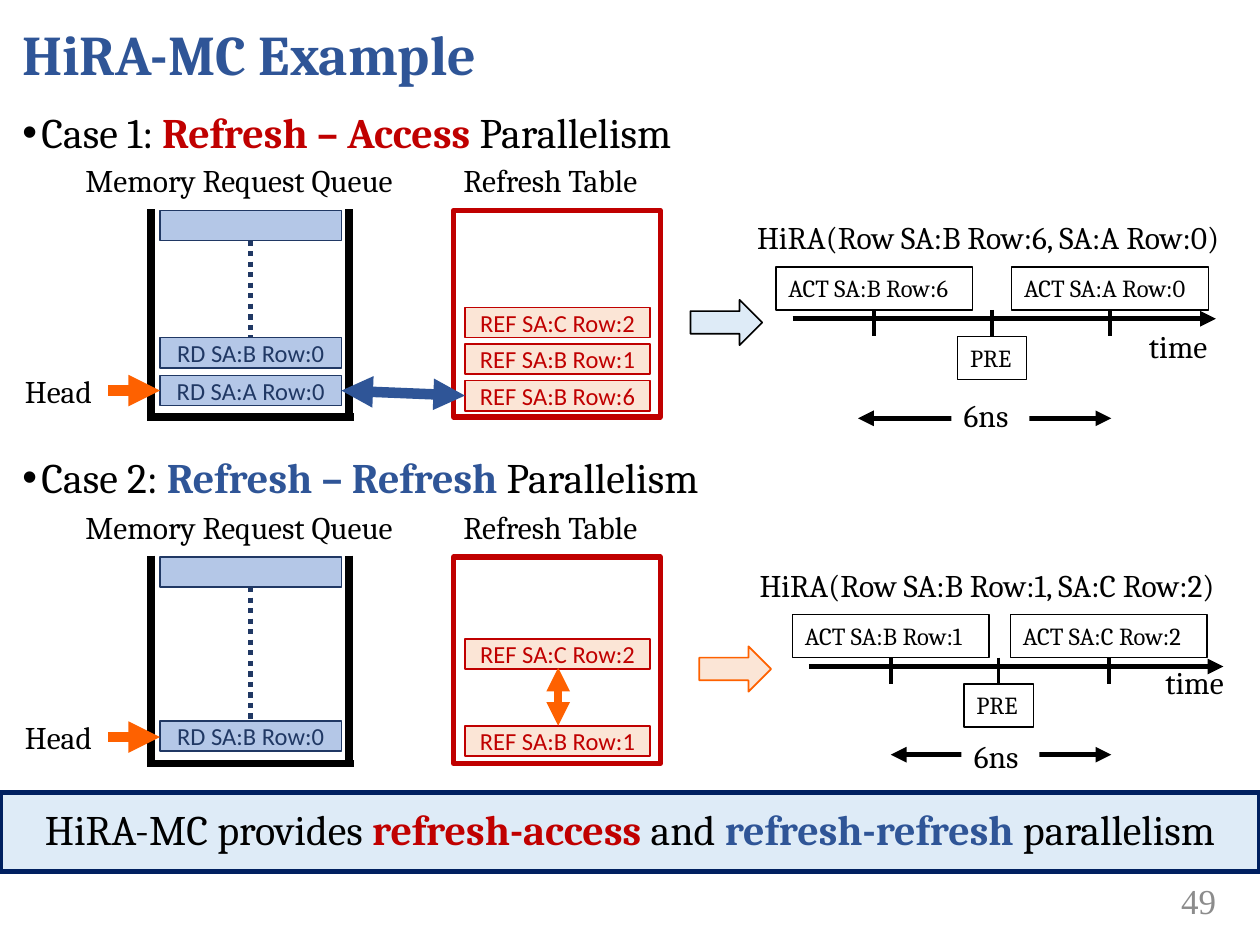
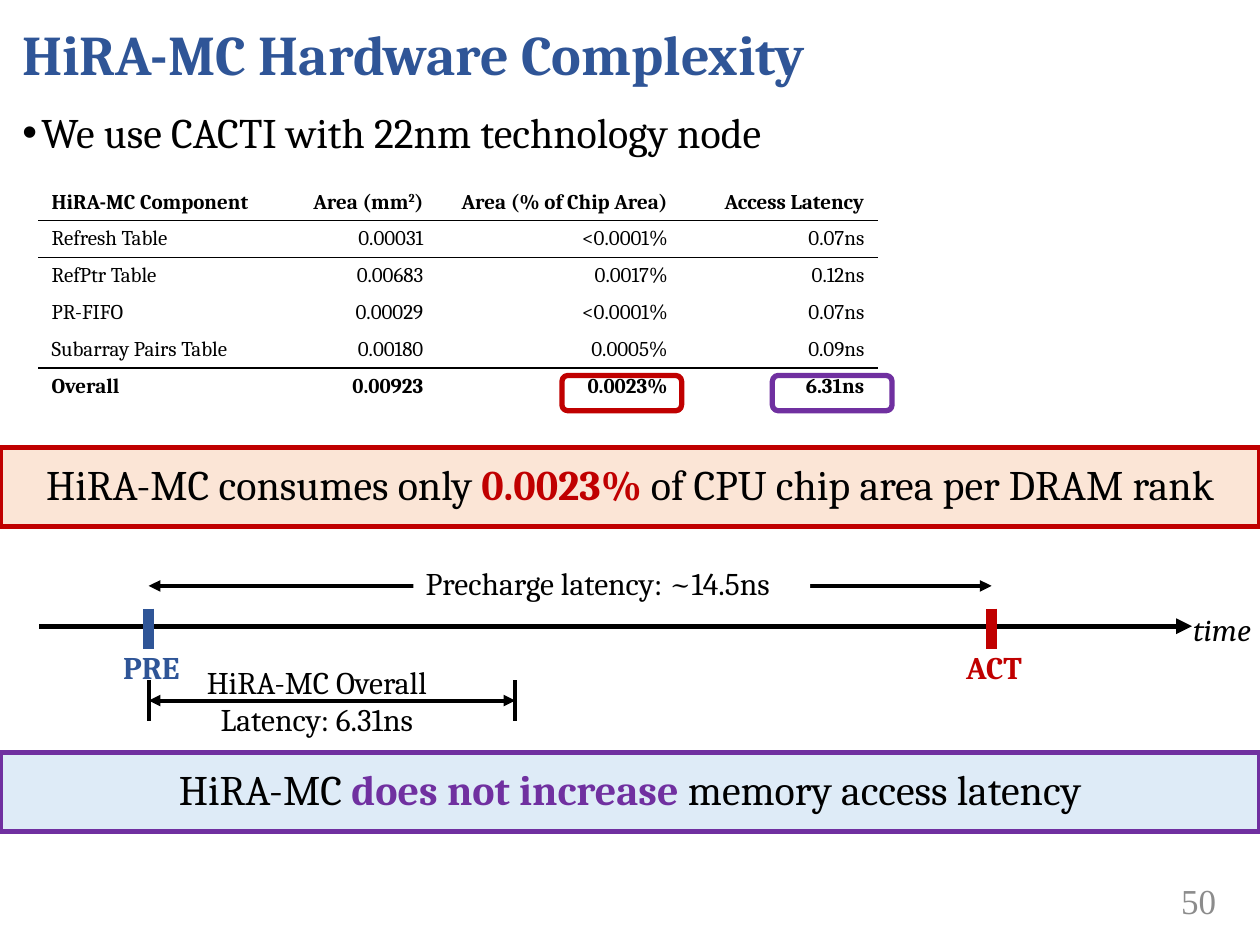
from lxml.etree import SubElement
from pptx import Presentation
from pptx.dml.color import RGBColor
from pptx.enum.dml import MSO_LINE
from pptx.enum.shapes import MSO_CONNECTOR, MSO_SHAPE
from pptx.enum.text import MSO_ANCHOR, MSO_AUTO_SIZE, PP_ALIGN
from pptx.oxml.ns import qn
from pptx.util import Inches, Pt

COLORS = {
    "black": "000000", "white": "FFFFFF", "gray": "8C8C8C", "blue": "2F5597",
    "red": "C00000", "purple": "7030A0", "orange": "FE6100", "navy": "203864",
    "dark_blue": "002060", "queue": "B4C7E7", "peach": "FBE5D6", "pale_blue": "DEEBF7",
}


def strong(color):
    return {"color": color, "bold": True}


# Text is a string, or a list of (text, format overrides) pairs.
CASES = [
    {
        "heading": [("Case 1: ", {}), ("Refresh – Access ", strong("red")), ("Parallelism", {})],
        "heading_top": 0.84,
        "queue_offset": 0,
        "requests": [("RD SA:A Row:0", 2.98), ("RD SA:B Row:0", 2.68)],
        "refreshes": [("REF SA:B Row:6", 3.02), ("REF SA:B Row:1", 2.73), ("REF SA:C Row:2", 2.44)],
        "match": ((2.71, 3.1), (3.69, 3.14), "blue", 6),
        "result_arrow": (5.48, 2.38, "pale_blue", "black"),
        "operation": ("HiRA(Row SA:B Row:6, SA:A Row:0)", 5.91),
        "timeline_offset": 0,
        "axis": (6.29, 9.65),
        "time_label": (9.02, 2.55),
        "activations": [("ACT SA:B Row:6", 6.16), ("ACT SA:A Row:0", 8.03)],
        "precharge_left": 7.6,
        "span": (6.81, 8.82, 3.32),
        "span_label": (7.55, 3.09),
    },
    {
        "heading": [("Case 2: ", {}), ("Refresh – Refresh ", strong("blue")), ("Parallelism", {})],
        "heading_top": 3.58,
        "queue_offset": 2.75,
        "requests": [("RD SA:B Row:0", 5.72)],
        "refreshes": [("REF SA:B Row:1", 5.76), ("REF SA:C Row:2", 5.07)],
        "match": ((4.43, 5.76), (4.43, 5.3), "orange", 4.5),
        "result_arrow": (5.55, 5.13, "peach", "orange"),
        "operation": ("HiRA(Row SA:B Row:1, SA:C Row:2)", 5.93),
        "timeline_offset": 2.76,
        "axis": (6.42, 9.71),
        "time_label": (9.15, 5.21),
        "activations": [("ACT SA:B Row:1", 6.29), ("ACT SA:C Row:2", 8.02)],
        "precharge_left": 7.65,
        "span": (7.07, 8.82, 5.99),
        "span_label": (7.63, 5.8),
    },
]

PARALLELISM_SUMMARY = [
    ("HiRA-MC provides ", {}), ("refresh-access ", strong("red")), ("and ", {}),
    ("refresh-refresh ", strong("blue")), ("parallelism", {}),
]
AREA_SUMMARY = [
    ("HiRA-MC consumes only ", {}), ("0.0023%", strong("red")),
    (" of CPU chip area per DRAM rank", {}),
]
LATENCY_SUMMARY = [
    ("HiRA-MC ", {}), ("does not increase ", strong("purple")), ("memory access latency", {}),
]

COMPONENT_ROWS = [
    ("HiRA-MC Component", [("Area (mm", {}), ("2", {"superscript": True}), (")", {})],
     "Area (% of Chip Area)", "Access Latency"),
    ("Refresh Table", "0.00031", "<0.0001%", "0.07ns"),
    ("RefPtr Table", "0.00683", "0.0017%", "0.12ns"),
    ("PR-FIFO", "0.00029", "<0.0001%", "0.07ns"),
    ("Subarray Pairs Table", "0.00180", "0.0005%", "0.09ns"),
    ("Overall", "0.00923", "0.0023%", "6.31ns"),
]
COLUMN_WIDTHS = [1.8, 1.35, 1.94, 1.56]
ROW_HEIGHT = 0.29
RULED_ROWS = {0, 1, 4}  # rows with a rule below them
BOLD_ROWS = {0, 5}


def rgb(name):
    return RGBColor.from_string(COLORS[name])


def write_text(frame, text, size=18, font="Cambria", color="black", bold=False, italic=False,
               align=PP_ALIGN.LEFT, line_spacing=None, bullet=False):
    paragraph = frame.paragraphs[0]
    paragraph.alignment = align
    if line_spacing:
        paragraph.line_spacing = line_spacing
    if bullet:
        properties = paragraph._p.get_or_add_pPr()
        properties.set("marL", str(Inches(0.15)))
        properties.set("indent", str(-Inches(0.15)))
        SubElement(properties, qn("a:buFont"), typeface="Arial")
        SubElement(properties, qn("a:buChar"), char="•")
    for part, changes in [(text, {})] if isinstance(text, str) else text:
        for index, line in enumerate(part.split("\n")):
            if index:
                paragraph.add_line_break()
            run = paragraph.add_run()
            run.text = line
            run.font.name = font
            run.font.size = Pt(size)
            run.font.bold = changes.get("bold", bold)
            run.font.italic = italic
            run.font.color.rgb = rgb(changes.get("color", color))
            if changes.get("superscript"):
                run.font._element.set("baseline", "30000")


def set_frame(frame, wrap, grow, anchor):
    frame.word_wrap = wrap
    frame.auto_size = MSO_AUTO_SIZE.SHAPE_TO_FIT_TEXT if grow else MSO_AUTO_SIZE.NONE
    frame.vertical_anchor = anchor


def add_label(slide, text, left, top, width, height=0.4, wrap=False, grow=True,
              anchor=MSO_ANCHOR.TOP, **text_format):
    box = slide.shapes.add_textbox(Inches(left), Inches(top), Inches(width), Inches(height))
    set_frame(box.text_frame, wrap, grow, anchor)
    write_text(box.text_frame, text, **text_format)
    return box


def add_box(slide, left, top, width, height, fill=None, line=None, line_width=1, text=None,
            kind=MSO_SHAPE.RECTANGLE, wrap=True, grow=False, anchor=MSO_ANCHOR.MIDDLE,
            **text_format):
    shape = slide.shapes.add_shape(kind, Inches(left), Inches(top), Inches(width), Inches(height))
    shape.shadow.inherit = False
    if fill:
        shape.fill.solid()
        shape.fill.fore_color.rgb = rgb(fill)
    else:
        shape.fill.background()
    if line:
        shape.line.color.rgb = rgb(line)
        shape.line.width = Pt(line_width)
    else:
        shape.line.fill.background()
    if text:
        set_frame(shape.text_frame, wrap, grow, anchor)
        write_text(shape.text_frame, text, **text_format)


def add_line(slide, start, end, color="black", width=2.25, head=False, tail=False, dash=None):
    connector = slide.shapes.add_connector(
        MSO_CONNECTOR.STRAIGHT, *(Inches(value) for value in (*start, *end)))
    connector.line.color.rgb = rgb(color)
    connector.line.width = Pt(width)
    if dash:
        connector.line.dash_style = dash
    outline = connector.line._get_or_add_ln()
    for tag, wanted in (("a:headEnd", head), ("a:tailEnd", tail)):
        if wanted:
            SubElement(outline, qn(tag), type="triangle")
    SubElement(connector._element.spPr, qn("a:effectLst"))


def add_bullet(slide, text, top):
    add_label(slide, text, 0.08, top, 9.83, 0.5, wrap=True, grow=False, size=24,
              line_spacing=0.9, bullet=True)


def add_band(slide, text, top, fill, line):
    """Full-width summary band."""
    add_box(slide, 0, top, 10, 0.63, fill, line, 3, text, size=24,
            align=PP_ALIGN.CENTER, line_spacing=0.9)


def start_slide(presentation, title, number):
    slide = presentation.slides.add_slide(presentation.slide_layouts[6])
    add_label(slide, str(number), 8.67, 6.95, 1.08, wrap=True, grow=False,
              anchor=MSO_ANCHOR.MIDDLE, size=20, font="Times New Roman", color="gray",
              align=PP_ALIGN.RIGHT)
    add_label(slide, title, 0.08, 0, 9.83, 0.84, wrap=True, grow=False,
              anchor=MSO_ANCHOR.MIDDLE, size=32, color="blue", bold=True)
    return slide


def add_entry(slide, text, left, top, width, fill, color):
    """One row inside the request queue or the refresh table."""
    add_box(slide, left, top, width, 0.24, fill, color, 1, text, size=14, font="Calibri",
            color=color, align=PP_ALIGN.CENTER)


def add_queue(slide, case):
    offset = case["queue_offset"]
    top, bottom = 1.66 + offset, 3.31 + offset
    for text, entry_top in case["requests"] + [("", top + 0.01)]:
        add_entry(slide, text, 1.27, entry_top, 1.44, "queue", "navy")
    for start, end in (((1.2, top), (1.2, bottom)), ((1.17, bottom), (2.81, bottom)),
                       ((2.77, top), (2.77, bottom))):
        add_line(slide, start, end, width=4.5)
    last_request_top = case["requests"][-1][1]
    add_line(slide, (1.99, top + 0.25), (1.99, last_request_top), "navy", 3,
             dash=MSO_LINE.ROUND_DOT)
    add_label(slide, "Head", 0.1, 2.9 + offset, 0.76, wrap=True)
    add_line(slide, (0.86, 3.1 + offset), (1.27, 3.1 + offset), "orange", 6, tail=True)
    add_label(slide, "Memory Request Queue", 0.58, 1.23 + offset, 2.78)


def add_refresh_table(slide, case):
    offset = case["queue_offset"]
    add_box(slide, 3.6, 1.67 + offset, 1.64, 1.64, line="red", line_width=3)
    for text, top in case["refreshes"]:
        add_entry(slide, text, 3.69, top, 1.47, "peach", "red")
    add_label(slide, "Refresh Table", 3.58, 1.23 + offset, 1.66)
    start, end, color, width = case["match"]
    add_line(slide, start, end, color, width, head=True, tail=True)


def add_command(slide, text, left, top, width):
    add_box(slide, left, top, width, 0.34, line="black", line_width=0.75, text=text, size=14,
            wrap=False, grow=True, anchor=MSO_ANCHOR.TOP)


def add_command_timeline(slide, case):
    offset = case["timeline_offset"]
    left, top, fill, line = case["result_arrow"]
    add_box(slide, left, top, 0.57, 0.36, fill, line, kind=MSO_SHAPE.RIGHT_ARROW)
    operation, left = case["operation"]
    add_label(slide, operation, left, 1.68 + offset, 4.09)
    axis_start, axis_end = case["axis"]
    add_line(slide, (axis_start, 2.53 + offset), (axis_end, 2.53 + offset), width=3, tail=True)
    add_label(slide, "time", *case["time_label"], 0.69)
    commands = [(text, left, 2.12, 1.56) for text, left in case["activations"]]
    commands.append(("PRE", case["precharge_left"], 2.67, 0.55))
    for text, left, top, width in commands:
        add_command(slide, text, left, top + offset, width)
        tick = left + width / 2
        add_line(slide, (tick, 2.46 + offset), (tick, 2.67 + offset))
    span_start, span_end, span_top = case["span"]
    add_line(slide, (span_start, span_top), (span_end, span_top), width=3, head=True, tail=True)
    add_box(slide, *case["span_label"], 0.62, 0.4, "white", text="6ns", grow=True,
            anchor=MSO_ANCHOR.TOP)


def add_cell_rule(cell, tag):
    rule = SubElement(cell._tc.get_or_add_tcPr(), qn(tag), w=str(Pt(1)))
    SubElement(SubElement(rule, qn("a:solidFill")), qn("a:srgbClr"), val=COLORS["black"])


def add_component_table(slide):
    table = slide.shapes.add_table(
        len(COMPONENT_ROWS), len(COLUMN_WIDTHS), Inches(0.31), Inches(1.46),
        Inches(sum(COLUMN_WIDTHS)), Inches(ROW_HEIGHT * len(COMPONENT_ROWS))).table
    table.first_row = table.horz_banding = False
    for column, width in zip(table.columns, COLUMN_WIDTHS):
        column.width = Inches(width)
    for row, texts in enumerate(COMPONENT_ROWS):
        for column, text in enumerate(texts):
            cell = table.cell(row, column)
            if row - 1 in RULED_ROWS:
                add_cell_rule(cell, "a:lnT")
            if row in RULED_ROWS:
                add_cell_rule(cell, "a:lnB")
            cell.fill.background()
            write_text(cell.text_frame, text, size=12, bold=row in BOLD_ROWS,
                       align=PP_ALIGN.RIGHT if column else PP_ALIGN.LEFT)


def add_latency_timeline(slide):
    precharge, done, activate = 1.18, 4.09, 7.87
    add_line(slide, (precharge, 5.56), (done, 5.56), head=True, tail=True)
    add_label(slide, "HiRA-MC Overall\nLatency: 6.31ns", 1.51, 5.21, 2.01, 0.71,
              align=PP_ALIGN.CENTER)
    for x in (precharge, done):
        add_line(slide, (x, 5.4), (x, 5.72))
    add_line(slide, (0.31, 4.97), (9.46, 4.97), width=3, tail=True)
    for name, x, color in (("PRE", precharge, "blue"), ("ACT", activate, "red")):
        add_line(slide, (x, 4.83), (x, 5.15), color, 6)
        add_label(slide, name, x - 0.3, 5.09, 0.67, color=color, bold=True)
    add_line(slide, (precharge, 4.65), (activate, 4.65), head=True, tail=True)
    add_box(slide, 3.28, 4.43, 3.15, 0.4, "white", text="Precharge latency: ~14.5ns",
            wrap=False, grow=True, anchor=MSO_ANCHOR.TOP)
    add_label(slide, "time", 9.37, 4.79, 0.69, italic=True)


def build_example(presentation):
    slide = start_slide(presentation, "HiRA-MC Example", 49)
    for case in CASES:
        add_bullet(slide, case["heading"], case["heading_top"])
        add_queue(slide, case)
        add_refresh_table(slide, case)
        add_command_timeline(slide, case)
    add_band(slide, PARALLELISM_SUMMARY, 6.29, "pale_blue", "dark_blue")


def build_complexity(presentation):
    slide = start_slide(presentation, "HiRA-MC Hardware Complexity", 50)
    add_bullet(slide, "We use CACTI with 22nm technology node", 0.84)
    add_component_table(slide)
    for left, color in ((4.46, "red"), (6.13, "purple")):
        add_box(slide, left, 2.98, 0.95, 0.28, line=color, line_width=3,
                kind=MSO_SHAPE.ROUNDED_RECTANGLE)
    add_band(slide, LATENCY_SUMMARY, 5.97, "pale_blue", "purple")
    add_band(slide, AREA_SUMMARY, 3.55, "peach", "red")
    add_latency_timeline(slide)


def main():
    presentation = Presentation()
    presentation.slide_width, presentation.slide_height = Inches(10), Inches(7.5)
    build_example(presentation)
    build_complexity(presentation)
    presentation.save("out.pptx")


if __name__ == "__main__":
    main()
